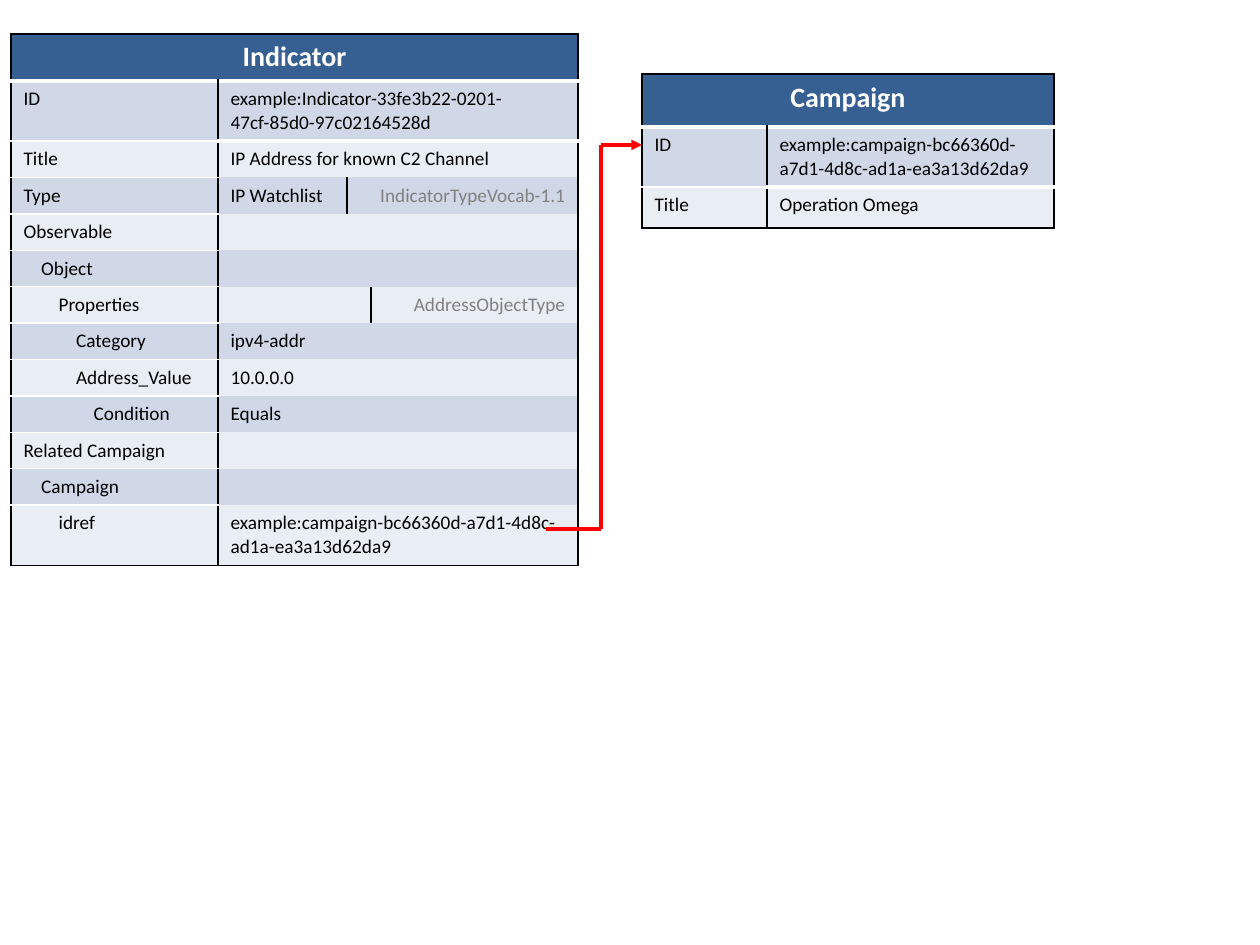
from pptx import Presentation
from pptx import util as u
from pptx.dml.color import RGBColor
from pptx.enum import shapes, text
from lxml import etree

PX = 914400 // 126
NS = "http://schemas.openxmlformats.org/drawingml/2006/main"
A = "{%s}" % NS
NO_STYLE = "{2D5ABB26-0587-4C30-8999-92F81FD0307C}"
INDENT = 35 / 2  # px per nesting level
theme = {
    "font": "Calibri", "head_size": 16, "body_size": 11,
    "head": "376092", "bands": ("D0D8E8", "E9EDF4"),
    "white": "FFFFFF", "black": "000000", "note": "808080", "link": "FF0000",
}


def fill_cell(cell, value, format, fill, borders, level=0):
    """Write one cell; borders maps a side (L, R, T, B) to (colour, points)."""
    props = cell._tc.get_or_add_tcPr()
    for side in "LRTB":
        if side in borders:
            colour, points = borders[side]
            edge = etree.SubElement(props, A + "ln" + side, w=str(int(u.Pt(points))))
            solid = etree.SubElement(edge, A + "solidFill")
            etree.SubElement(solid, A + "srgbClr", val=colour)
    cell.fill.solid()
    cell.fill.fore_color.rgb = RGBColor.from_string(fill)
    line = cell.text_frame.paragraphs[0]
    line.alignment = format["align"]
    if level:
        line._p.get_or_add_pPr().set("marL", str(int(level * INDENT * PX)))
    if not value:
        # an empty cell keeps the body size so its row stays low
        line._p.get_or_add_endParaRPr().set("sz", str(format["size"] * 100))
        return
    run = line.add_run()
    run.text = value
    run.font.color.rgb = RGBColor.from_string(format["color"])
    for name, setting in {"name": theme["font"], "size": u.Pt(format["size"]),
                          "bold": format["bold"]}.items():
        setattr(run.font, name, setting)


head_format = {"align": text.PP_ALIGN.CENTER, "size": theme["head_size"],
               "color": theme["white"], "bold": True}
body_format = {"align": text.PP_ALIGN.LEFT, "size": theme["body_size"],
               "color": theme["black"], "bold": False}
note_format = {**body_format, "align": text.PP_ALIGN.RIGHT, "color": theme["note"]}

# Records: each field is (level, name, [(value, columns spanned, format), ...])
campaign_id = "example:campaign-bc66360d-a7d1-4d8c-ad1a-ea3a13d62da9"
indicator_fields = [
    (0, "ID", [("example:Indicator-33fe3b22-0201-47cf-85d0-97c02164528d", 3, body_format)]),
    (0, "Title", [("IP Address for known C2 Channel", 3, body_format)]),
    (0, "Type", [("IP Watchlist", 1, body_format), ("IndicatorTypeVocab-1.1", 2, note_format)]),
    (0, "Observable", [("", 3, body_format)]),
    (1, "Object", [("", 3, body_format)]),
    (2, "Properties", [("", 2, body_format), ("AddressObjectType", 1, note_format)]),
    (3, "Category", [("ipv4-addr", 3, body_format)]),
    (3, "Address_Value", [("10.0.0.0", 3, body_format)]),
    (4, "Condition", [("Equals", 3, body_format)]),
    (0, "Related Campaign", [("", 3, body_format)]),
    (1, "Campaign", [("", 3, body_format)]),
    (2, "idref", [(campaign_id, 3, body_format)]),
]
campaign_fields = [
    (0, "ID", [(campaign_id, 1, body_format)]),
    (0, "Title", [("Operation Omega", 1, body_format)]),
]
records = [
    ("Indicator", 11, 34, [207, 129, 24, 207], [46, 60] + [36] * 10 + [60], indicator_fields),
    ("Campaign", 642, 74, [125, 287], [53, 60, 41], campaign_fields),
]

deck = Presentation()
deck.slide_width, deck.slide_height = 1260 * PX, 945 * PX
slide = deck.slides.add_slide(deck.slide_layouts[6])

black, white, rule = (theme["black"], 1), (theme["white"], 1), (theme["white"], 3)

# Record tables
for title, left, top, widths, heights, fields in records:
    grid = slide.shapes.add_table(len(heights), len(widths), left * PX, top * PX,
                                  sum(widths) * PX, sum(heights) * PX).table
    grid._tbl.tblPr.find(A + "tableStyleId").text = NO_STYLE
    for column, width in zip(grid.columns, widths):
        column.width = width * PX
    for row, height in zip(grid.rows, heights):
        row.height = height * PX

    # Heading across all columns
    last = len(widths) - 1
    grid.cell(0, 0).merge(grid.cell(0, last))
    fill_cell(grid.cell(0, 0), title, head_format, theme["head"],
              {"L": black, "R": black, "T": black, "B": rule})

    # Field names on the left, values on the right
    for r, (level, name, values) in enumerate(fields, 1):
        band = theme["bands"][(r - 1) % 2]
        bottom = {"B": black} if r == len(fields) else {}
        ends = {"T": rule, **bottom} if r == 1 else bottom
        fill_cell(grid.cell(r, 0), name, body_format, band,
                  {"L": black, "R": black, "B": white, **ends}, level)
        c = 1
        for value, span, format in values:
            borders = dict(ends)
            if c == 1:
                borders["L"] = black
            if c + span > last:
                borders["R"] = black
            if span > 1:
                grid.cell(r, c).merge(grid.cell(r, c + span - 1))
            fill_cell(grid.cell(r, c), value, format, band, borders)
            c += span

# Link from the idref to the campaign ID
route = [(546, 529), (601, 529), (601, 145), (642, 145)]
for start, end in zip(route, route[1:]):
    link = slide.shapes.add_connector(shapes.MSO_CONNECTOR.STRAIGHT,
                                      *(v * PX for v in start + end))
    link.line.color.rgb = RGBColor.from_string(theme["link"])
    link.line.width = u.Pt(2)
    if end == route[-1]:
        etree.SubElement(link.line._get_or_add_ln(), A + "tailEnd", type="triangle")
    etree.SubElement(link._element.spPr, A + "effectLst")

deck.save("out.pptx")
